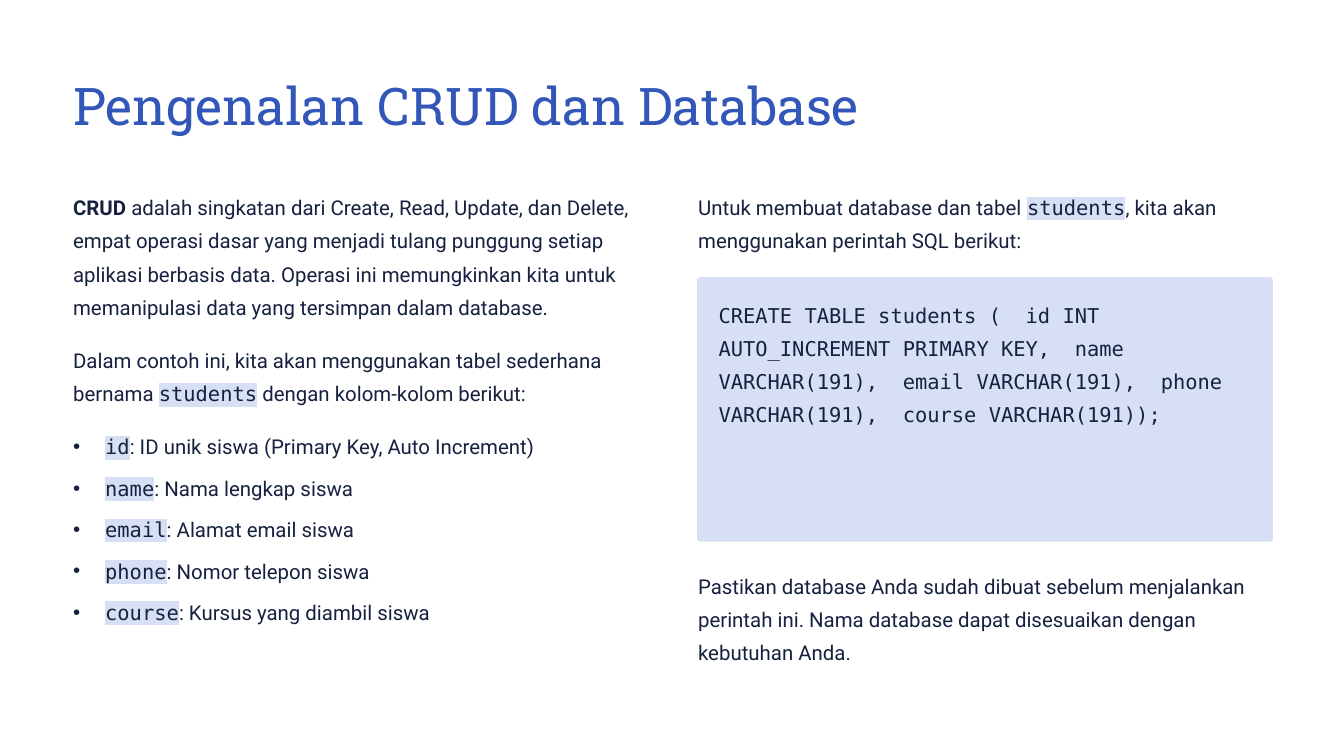
from lxml.etree import SubElement
from pptx import Presentation
from pptx.dml.color import RGBColor
from pptx.enum.shapes import MSO_SHAPE
from pptx.enum.text import MSO_ANCHOR, MSO_AUTO_SIZE, PP_ALIGN
from pptx.oxml.ns import qn
from pptx.util import Cm, Pt

COLOURS = {"title": "3257B8", "text": "15213F", "code": "D7DFF4"}
FONTS = {"title": "Roboto Slab", "text": "Roboto", "bold": "Roboto", "code": "DejaVu Sans Mono"}

TITLE = "Pengenalan CRUD dan Database"
INTRODUCTION = [
    [("CRUD", "bold"),
     (" adalah singkatan dari Create, Read, Update, dan Delete, empat operasi dasar yang menjadi "
      "tulang punggung setiap aplikasi berbasis data. Operasi ini memungkinkan kita untuk "
      "memanipulasi data yang tersimpan dalam database.", "text")],
    [("Dalam contoh ini, kita akan menggunakan tabel sederhana bernama ", "text"),
     ("students", "code"), (" dengan kolom-kolom berikut:", "text")],
]
COLUMNS = {
    "id": "ID unik siswa (Primary Key, Auto Increment)",
    "name": "Nama lengkap siswa",
    "email": "Alamat email siswa",
    "phone": "Nomor telepon siswa",
    "course": "Kursus yang diambil siswa",
}
COMMAND_LEAD = [("Untuk membuat database dan tabel ", "text"), ("students", "code"),
                (", kita akan menggunakan perintah SQL berikut:", "text")]
COMMAND = ("CREATE TABLE students (  id INT AUTO_INCREMENT PRIMARY KEY,  name VARCHAR(191),  "
           "email VARCHAR(191),  phone VARCHAR(191),  course VARCHAR(191));")
NOTE = ("Pastikan database Anda sudah dibuat sebelum menjalankan perintah ini. "
        "Nama database dapat disesuaikan dengan kebutuhan Anda.")


def place(shape, left, top, width, height):
    """Move a shape to the given box."""
    shape.left, shape.top, shape.width, shape.height = left, top, width, height


def prepare_frame(shape, margins=(0, 0, 0, 0), wrap=True):
    """Set margins, wrapping and top anchoring, and return the text frame."""
    frame = shape.text_frame
    frame.margin_left, frame.margin_top, frame.margin_right, frame.margin_bottom = margins
    frame.word_wrap = wrap
    frame.auto_size = MSO_AUTO_SIZE.NONE
    frame.vertical_anchor = MSO_ANCHOR.TOP
    return frame


def format_span(span, kind, size=17.5, colour="text"):
    """Give a run its font, and a highlight if it is code."""
    span.font.size = Pt(size)
    span.font.bold = kind == "bold"
    span.font.color.rgb = RGBColor.from_string(COLOURS[colour])
    if kind == "code":
        highlight = SubElement(span.font._element, qn("a:highlight"))
        SubElement(highlight, qn("a:srgbClr"), val=COLOURS["code"])
    span.font.name = FONTS[kind]


def write_paragraph(para, spans, gap=0, bullet=False):
    """Write styled spans into a paragraph, with or without a bullet."""
    properties = para._p.get_or_add_pPr()
    indent = Cm(0.97) if bullet else 0
    properties.set("marL", str(indent))
    properties.set("indent", str(-indent))
    if bullet:
        SubElement(properties, qn("a:buChar"), char="•")
    else:
        SubElement(properties, qn("a:buNone"))
    para.alignment = PP_ALIGN.LEFT
    para.line_spacing = Pt(28.5)
    para.space_before = Pt(gap)
    para.space_after = Pt(0)
    for text, kind in spans:
        span = para.add_run()
        span.text = text
        format_span(span, kind)


def add_title(title, left, top, width, height):
    """Fill the title placeholder."""
    place(title, left, top, width, height)
    frame = prepare_frame(title, wrap=False)
    frame.text = TITLE
    para = frame.paragraphs[0]
    para.alignment = PP_ALIGN.LEFT
    para.line_spacing = Pt(55.5)
    format_span(para.runs[0], "title", 44.5, "title")


def add_explanation(body, left, top, width, height):
    """Fill the left column with the introduction and the list of table columns."""
    place(body, left, top, width, height)
    frame = prepare_frame(body)
    write_paragraph(frame.paragraphs[0], INTRODUCTION[0])
    write_paragraph(frame.add_paragraph(), INTRODUCTION[1], gap=17)
    for number, (name, meaning) in enumerate(COLUMNS.items()):
        spans = [(name, "code"), (f": {meaning}", "text")]
        write_paragraph(frame.add_paragraph(), spans, gap=7 if number else 17, bullet=True)


def add_command(page, body, left, top, width):
    """Fill the right column with the lead, the code panel and the note."""
    place(body, left, top, width, Cm(2.03))
    write_paragraph(prepare_frame(body).paragraphs[0], COMMAND_LEAD)

    panel = page.shapes.add_shape(MSO_SHAPE.ROUNDED_RECTANGLE, left - Cm(0.03), top + Cm(2.74),
                                  width + Cm(0.06), Cm(8))
    panel.adjustments[0] = 0.012
    panel.shadow.inherit = False
    panel.fill.solid()
    panel.fill.fore_color.rgb = RGBColor.from_string(COLOURS["code"])
    panel.line.fill.background()
    frame = prepare_frame(panel, (Cm(0.62), Cm(0.48), Cm(0.62), Cm(0.48)))
    write_paragraph(frame.paragraphs[0], [(COMMAND, "code")])

    note = page.shapes.add_textbox(left, top + Cm(11.45), width, Cm(3.02))
    write_paragraph(prepare_frame(note).paragraphs[0], [(NOTE, "text")])


def main():
    """Build the slide and save the deck."""
    deck = Presentation()
    deck.slide_width, deck.slide_height = Cm(40.64), Cm(22.86)
    page = deck.slides.add_slide(deck.slide_layouts[3])
    title, explanation, command = page.placeholders
    left, top, width = Cm(2.21), Cm(5.64), Cm(17.35)
    add_title(title, left, Cm(2.16), Cm(23.8), Cm(1.98))
    add_explanation(explanation, left, top, width, Cm(13.26))
    add_command(page, command, left + Cm(18.9), top, width)
    deck.save("out.pptx")


if __name__ == "__main__":
    main()
